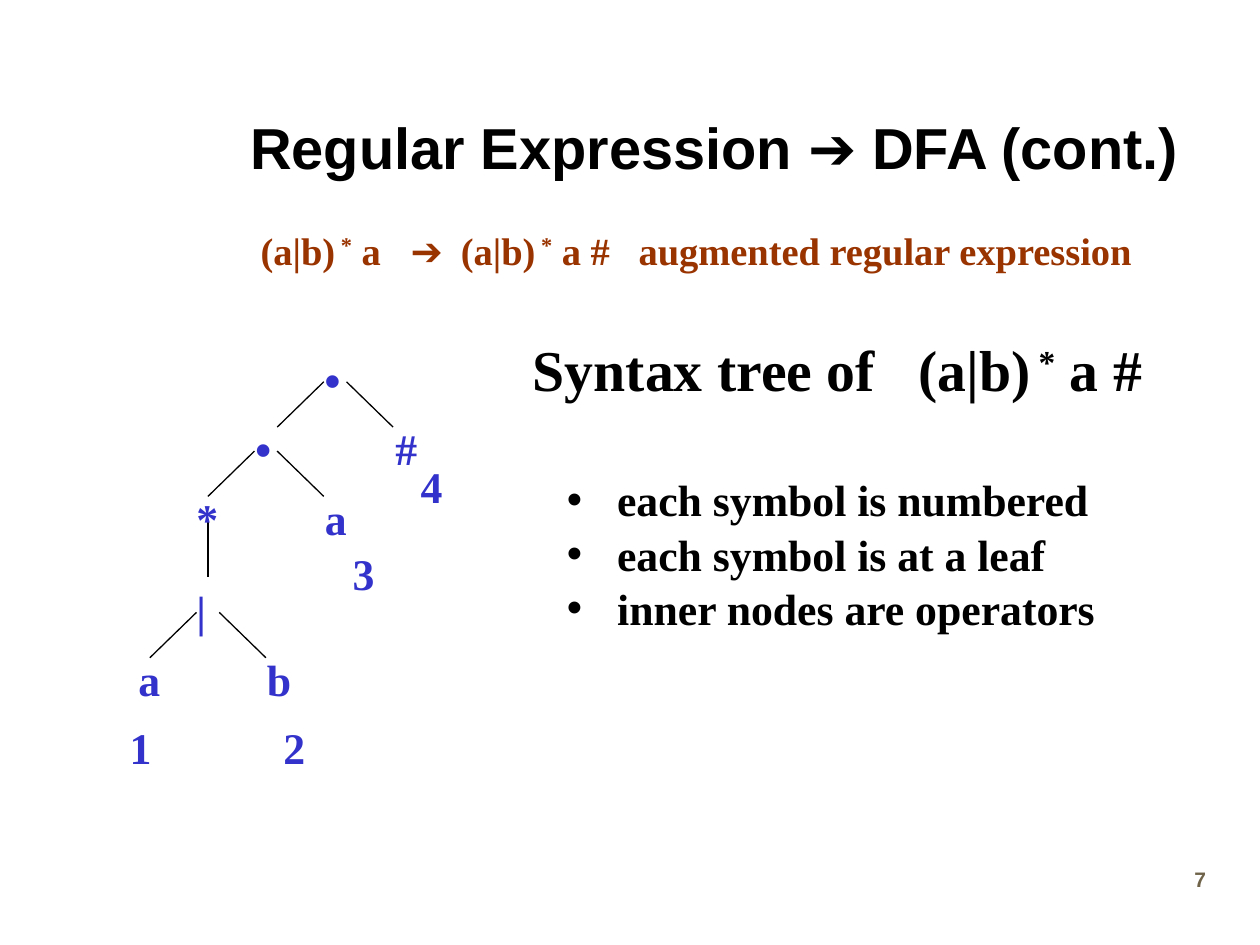
from lxml import etree
from pptx import Presentation
from pptx.dml.color import RGBColor
from pptx.enum.shapes import MSO_CONNECTOR
from pptx.enum.text import MSO_ANCHOR, PP_ALIGN
from pptx.oxml.ns import qn
from pptx.util import Inches, Pt

STRAIGHT = MSO_CONNECTOR.STRAIGHT
MIDDLE = MSO_ANCHOR.MIDDLE
CENTER, RIGHT = PP_ALIGN.CENTER, PP_ALIGN.RIGHT

SANS, SERIF = "Arial", "Times New Roman"
BLACK, BLUE, BROWN, GREY = "000000", "3333CC", "993300", "6F634A"


def write(paragraph, pieces, size, font, color):
    """Add bold runs; a piece is a text, a "^text" superscript or an arrow."""
    for piece in pieces:
        run = paragraph.add_run()
        run.text = piece.removeprefix("^")
        formats = {"name": SANS if piece == "➔" else font, "size": Pt(size), "bold": True}
        for name, value in formats.items():
            setattr(run.font, name, value)
        run.font.color.rgb = RGBColor.from_string(color)
        if piece.startswith("^"):
            run.font._element.set("baseline", "30000")


def add_text(left, top, width, height, pieces, size, font, color, tabs=()):
    """Add a text box with one paragraph and return its text frame."""
    box = slide.shapes.add_textbox(Inches(left), Inches(top), Inches(width), Inches(height))
    box.text_frame.word_wrap = True
    paragraph = box.text_frame.paragraphs[0]
    if tabs:
        properties = paragraph._p.get_or_add_pPr()
        tab_list = etree.SubElement(properties, qn("a:tabLst"))
        for position in tabs:
            etree.SubElement(tab_list, qn("a:tab"), pos=str(Inches(position)), algn="l")
    write(paragraph, pieces, size, font, color)
    return box.text_frame


presentation = Presentation()
presentation.slide_width = Inches(10)
presentation.slide_height = Inches(7.5)
slide = presentation.slides.add_slide(presentation.slide_layouts[5])

# Title
title = slide.shapes.title
title.left, title.top, title.width, title.height = map(Inches, (1.67, 0.58, 8, 1.17))
title.text_frame.vertical_anchor = MIDDLE
title_paragraph = title.text_frame.paragraphs[0]
title_paragraph.alignment = CENTER
write(title_paragraph, ["Regular Expression ➔ DFA (cont.)"], 33, SANS, BLACK)

# Slide number
number_frame = add_text(7.71, 6.83, 1.96, 0.5, ["7"], 12, SANS, GREY)
number_frame.paragraphs[0].alignment = RIGHT

# Augmented expression
add_text(1.97, 1.75, 7.2, 0.47,
         ["(a|b)", "^ *", " a\t", "➔", "\t(a|b)", "^ *", " a #\taugmented regular expression"],
         22, SERIF, BROWN, tabs=(1.19, 1.59, 3))

# Tree branches: each binary node has two, the star has one
BRANCH_X, BRANCH_Y, HALF_GAP = 0.37, 0.36, 0.09
branches = [(1.65, 4.12, 1.65, 4.58)]
for center, top in [(2.66, 3.03), (2.11, 3.58), (1.65, 4.86)]:
    for side in (-1, 1):
        start = center + side * HALF_GAP
        branches.append((start, top, start + side * BRANCH_X, top + BRANCH_Y))
for branch in branches:
    line = slide.shapes.add_connector(STRAIGHT, *map(Inches, branch))
    line.line.color.rgb = RGBColor.from_string(BLACK)
    line.line.width = Pt(0.75)
    etree.SubElement(line._element.spPr, qn("a:effectLst"))

# Tree nodes and leaf numbers
tree_labels = [
    ("•", 2.48, 2.75), ("•", 1.93, 3.3), ("#", 3.04, 3.3),
    ("*", 1.46, 3.85), ("a", 2.48, 3.85), ("|", 1.46, 4.58),
    ("a", 1, 5.13), ("b", 2.02, 5.13),
    ("1", 0.93, 5.67), ("2", 2.15, 5.67), ("3", 2.7, 4.29), ("4", 3.24, 3.6),
]
for label, left, top in tree_labels:
    width = 0.37 if label.isdigit() else 0.34
    add_text(left, top, width, 0.52, [label], 25, SANS if label == "•" else SERIF, BLUE)

# Syntax tree heading and its bullets
notes_frame = add_text(4.13, 2.6, 5.16, 2.87,
                       ["Syntax tree of\t(a|b)", "^ *", " a #"],
                       33, SERIF, BLACK, tabs=(3.06,))
bullets = ["each symbol is numbered", "each symbol is at a leaf", "inner nodes are operators"]
for index, bullet in enumerate(bullets):
    paragraph = notes_frame.add_paragraph()
    paragraph.level = 1
    paragraph.space_before = Pt(1 if index else 40)
    properties = paragraph._p.get_or_add_pPr()
    properties.set("marL", str(Inches(0.67)))
    properties.set("indent", str(Inches(-0.4)))
    etree.SubElement(properties, qn("a:buFont"), typeface=SANS)
    etree.SubElement(properties, qn("a:buChar"), char="•")
    write(paragraph, [bullet], 25, SERIF, BLACK)

presentation.save("out.pptx")
